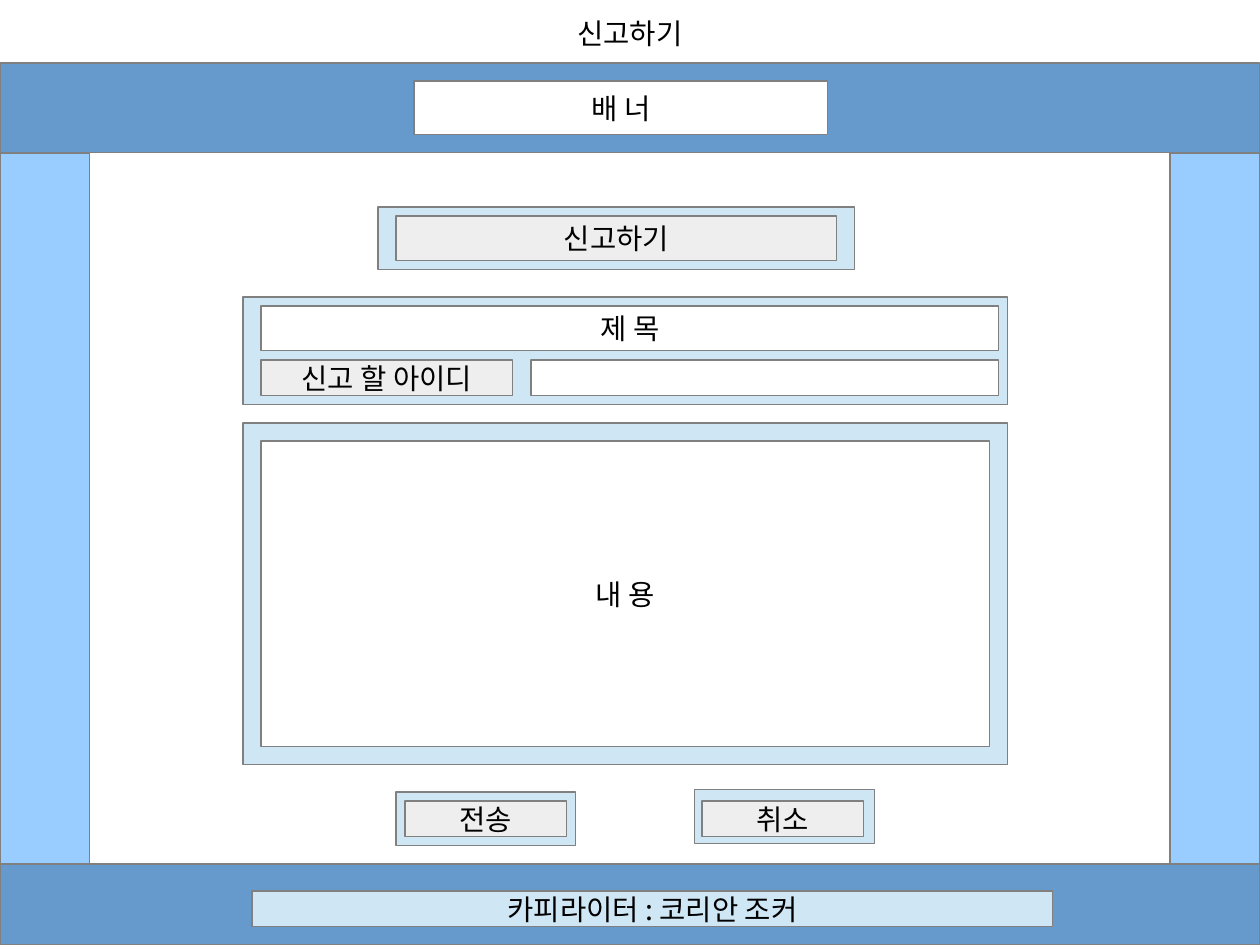
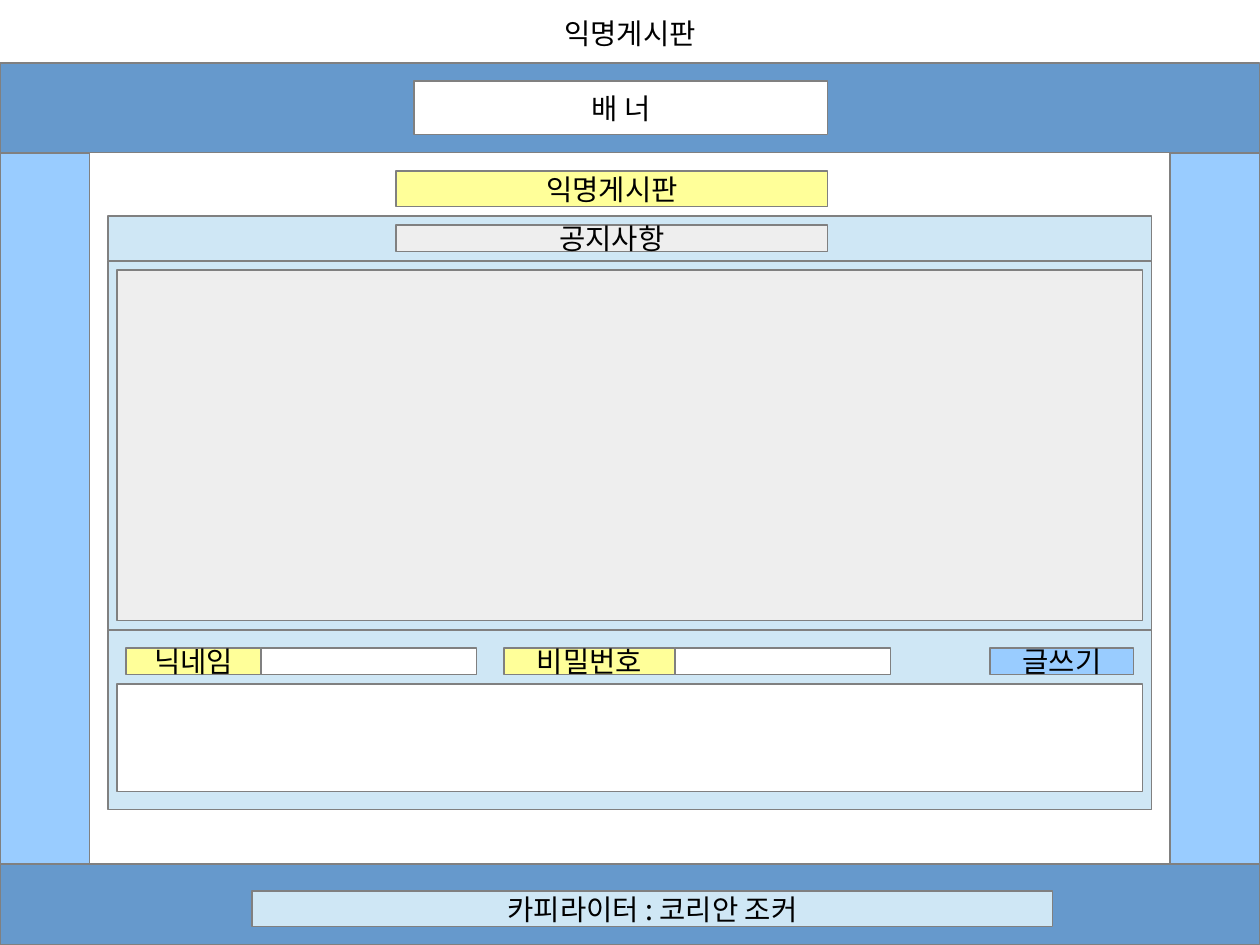
from dataclasses import dataclass
from lxml.etree import SubElement
from pptx import Presentation
from pptx.dml.color import RGBColor as RGB
from pptx.enum.shapes import MSO_SHAPE as Geo
from pptx.enum.text import MSO_ANCHOR as Anchor, MSO_AUTO_SIZE as Fit, PP_ALIGN as Align
from pptx.oxml.ns import qn
from pptx.util import Inches, Pt


@dataclass(frozen=True)
class Theme:
    font: str = "Noto Sans CJK KR"
    size: int = 18
    ink: str = "000000"
    edge: str = "808080"
    band: str = "6699CC"
    side: str = "99CCFF"
    panel: str = "CFE7F5"
    grey: str = "EEEEEE"
    white: str = "FFFFFF"
    label: str = "FFFF99"


T = Theme()
# All measures are in centimetres
WIDE, HIGH = 28, 21
TOP, BASE = 3.4, 19.2  # lower edge of the banner band, upper edge of the footer band
SIDE = 2


def span(*sizes):
    """Turn centimetres into slide lengths."""
    return [Inches(size / 2.54) for size in sizes]


def write(frame, text):
    para = frame.paragraphs[0]
    para.alignment = Align.CENTER
    run = para.add_run()
    run.text = text
    font = run.font
    font.name = T.font
    font.size = Pt(T.size)
    font.color.rgb = RGB.from_string(T.ink)
    # Hangul takes its typeface from the East Asian slot
    SubElement(run._r.get_or_add_rPr(), qn("a:ea"), typeface=T.font)


def box(slide, left, top, width, height, fill, text=""):
    shape = slide.shapes.add_shape(Geo.RECTANGLE, *span(left, top, width, height))
    shape.shadow.inherit = False
    shape.fill.solid()
    shape.fill.fore_color.rgb = RGB.from_string(fill)
    shape.line.color.rgb = RGB.from_string(T.edge)
    shape.line.width = Pt(0)
    if text:
        frame = shape.text_frame
        frame.word_wrap = True
        frame.vertical_anchor = Anchor.MIDDLE
        write(frame, text)


def title(slide, text):
    width = 7.6
    area = span((WIDE - width) / 2, 0.23, width, 1.17)
    frame = slide.shapes.add_textbox(*area).text_frame
    frame.word_wrap = True
    frame.auto_size = Fit.SHAPE_TO_FIT_TEXT
    write(frame, text)


def page(deck, name):
    """Add a slide with the title, bands, banner and footer that all pages share."""
    slide = deck.slides.add_slide(deck.slide_layouts[6])
    box(slide, 0, 1.4, WIDE, TOP - 1.4, T.band)
    box(slide, 0, TOP, SIDE, BASE - TOP, T.side)
    title(slide, name)
    box(slide, WIDE - SIDE, TOP, SIDE, BASE - TOP, T.side)
    box(slide, 0, BASE, WIDE, HIGH - BASE, T.band)
    box(slide, 9.2, 1.8, 9.2, 1.2, T.white, "배 너")
    box(slide, 5.6, 19.8, 17.8, 0.8, T.panel, "카피라이터 : 코리안 조커")
    return slide


def button(slide, left, top, inner, text):
    """Draw a framed button; inner is the left edge of its face."""
    box(slide, left, top, 4, 1.2, T.panel)
    box(slide, inner, 17.8, 3.6, 0.8, T.grey, text)


def report(deck):
    name = "신고하기"
    slide = page(deck, name)
    box(slide, 8.4, 4.6, 10.6, 1.4, T.panel)
    box(slide, 8.8, 4.8, 9.8, 1, T.grey, name)

    left, width, inner = 5.4, 17, 5.8
    box(slide, left, 6.6, width, 2.4, T.panel)
    box(slide, inner, 6.8, 16.4, 1, T.white, "제 목")
    box(slide, left, 9.4, width, 7.6, T.panel)
    box(slide, inner, 9.8, 16.2, 6.8, T.white, "내 용")

    button(slide, 8.8, 17.6, 9, "전송")
    button(slide, 15.44, 17.55, 15.6, "취소")

    box(slide, inner, 8, 5.6, 0.8, T.grey, "신고 할 아이디")
    box(slide, 11.8, 8, 10.4, 0.8, T.white)


def board(deck):
    name = "익명게시판"
    slide = page(deck, name)
    left, width, pad = 2.4, 23.2, 0.2
    inner, room = left + pad, width - 2 * pad

    box(slide, left, 4.8, width, 1, T.panel)
    box(slide, 8.8, 5, 9.6, 0.6, T.grey, "공지사항")
    box(slide, 8.8, 3.8, 9.6, 0.8, T.label, name)
    box(slide, left, 5.8, width, 8.2, T.panel)
    box(slide, inner, 6, room, 7.8, T.grey)
    box(slide, left, 14, width, 4, T.panel)
    box(slide, inner, 15.2, room, 2.4, T.white)

    row, high = 14.4, 0.6
    for start, size, text in ((2.8, 3, "닉네임"), (11.2, 3.8, "비밀번호")):
        box(slide, start, row, size, high, T.label, text)
        box(slide, start + size, row, 4.8, high, T.white)
    box(slide, 22, row, 3.2, high, T.side, "글쓰기")


def main():
    deck = Presentation()
    deck.slide_width, deck.slide_height = span(WIDE, HIGH)
    report(deck)
    board(deck)
    deck.save("out.pptx")


if __name__ == "__main__":
    main()
